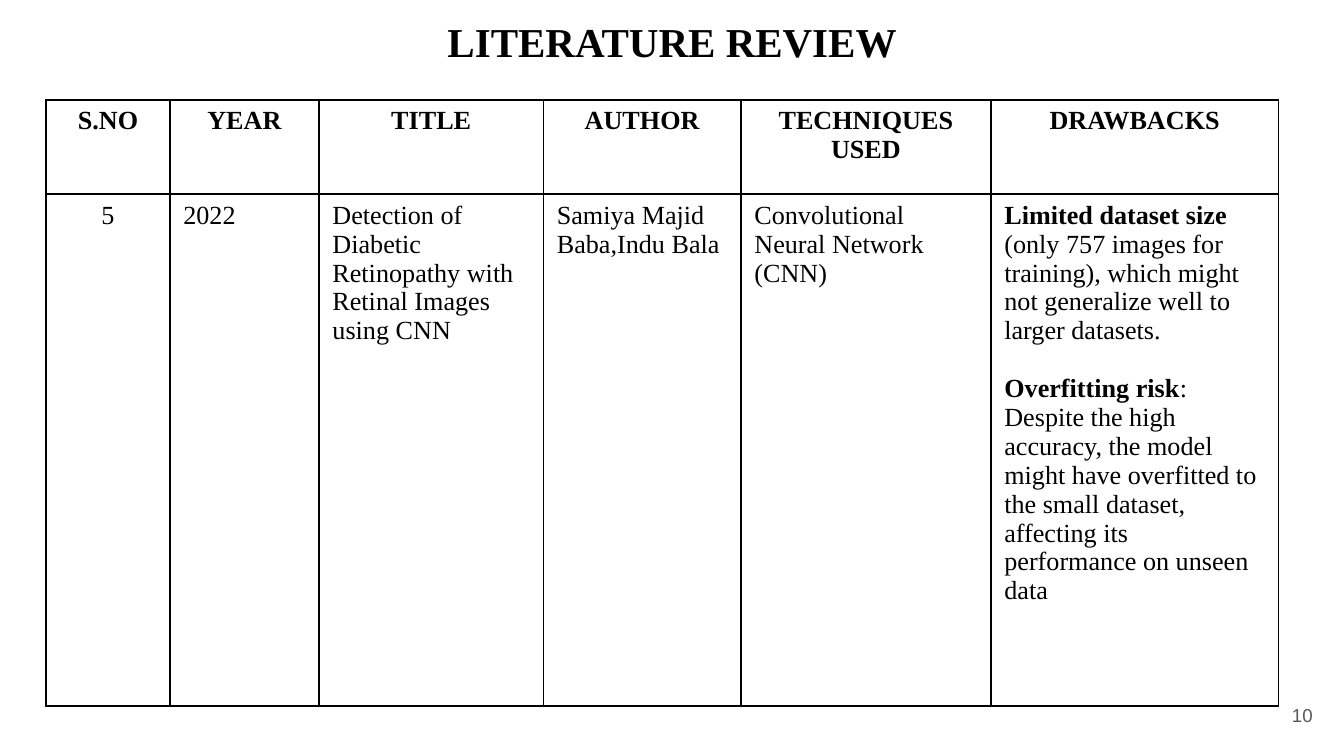
from dataclasses import dataclass

from lxml.etree import SubElement
from pptx import Presentation
from pptx.dml.color import RGBColor
from pptx.enum.text import MSO_ANCHOR, PP_ALIGN
from pptx.oxml.ns import qn
from pptx.util import Inches, Pt


@dataclass(frozen=True)
class Theme:
    ink: str = "000000"
    muted: str = "595959"
    paper: str = "FFFFFF"
    serif: str = "Times New Roman"
    sans: str = "Arial"
    title: float = 22
    body: float = 14
    small: float = 10
    border: float = 1
    gap: float = 15.5  # one line of body text


def write(tf, paragraphs, *, font, size, color, bold=False, align=PP_ALIGN.LEFT, gap=0):
    """Fill a text frame; each paragraph is a string or a list of (text, bold) runs."""
    for i, runs in enumerate(paragraphs):
        p = tf.add_paragraph() if i else tf.paragraphs[0]
        p.alignment = align
        if i:
            p.space_before = Pt(gap)
        for text, strong in [(runs, bold)] if isinstance(runs, str) else runs:
            r = p.add_run()
            r.text = text
            r.font.name, r.font.size, r.font.bold = font, Pt(size), strong
            r.font.color.rgb = RGBColor.from_string(color)


class Deck:
    """Places elements on a grid of 100 columns by 100 rows."""

    def __init__(self, theme):
        self.theme = theme
        self.prs = Presentation()
        self.prs.slide_width = Inches(10)
        self.prs.slide_height = self.prs.slide_width * 9 // 16
        self.s = self.prs.slides.add_slide(self.prs.slide_layouts[6])
        self.s.background.fill.solid()
        self.s.background.fill.fore_color.rgb = RGBColor.from_string(theme.paper)

    def x(self, columns):
        return round(self.prs.slide_width * columns / 100)

    def y(self, rows):
        return round(self.prs.slide_height * rows / 100)

    def text(self, left, top, width, height, content, anchor, **style):
        sp = self.s.shapes.add_textbox(self.x(left), self.y(top), self.x(width), self.y(height))
        tf = sp.text_frame
        tf.word_wrap, tf.vertical_anchor = True, anchor
        tf.margin_left = tf.margin_right = tf.margin_top = tf.margin_bottom = Inches(0.1)
        write(tf, [content], **style)

    def table(self, left, top, widths, heights, rows):
        frame = self.s.shapes.add_table(
            len(heights), len(widths), self.x(left), self.y(top),
            self.x(sum(widths)), self.y(sum(heights)))
        table = frame.table
        for column, width in zip(table.columns, widths):
            column.width = self.x(width)
        for row, height in zip(table.rows, heights):
            row.height = self.y(height)
        for i, row in enumerate(rows):
            for j, content in enumerate(row):
                header = i == 0
                centred = header or j == 0
                self.cell(table.cell(i, j), content, bold=header,
                          align=PP_ALIGN.CENTER if centred else PP_ALIGN.LEFT)

    def cell(self, cell, content, **style):
        t = self.theme
        write(cell.text_frame, content, font=t.serif, size=t.body, color=t.ink,
              gap=t.gap, **style)
        # Borders come before the fill in the cell properties
        tc_pr = cell._tc.get_or_add_tcPr()
        for side in ("lnL", "lnR", "lnT", "lnB"):
            ln = SubElement(tc_pr, qn(f"a:{side}"), w=str(Pt(t.border)))
            fill = SubElement(ln, qn("a:solidFill"))
            SubElement(fill, qn("a:srgbClr"), val=t.ink)
        cell.fill.background()


def main():
    theme = Theme()
    deck = Deck(theme)

    # Title
    deck.text(3.4, 0, 93.2, 10.5, "LITERATURE REVIEW", MSO_ANCHOR.BOTTOM,
              font=theme.serif, size=theme.title, color=theme.ink, bold=True,
              align=PP_ALIGN.CENTER)

    # Review table: each cell is a list of paragraphs
    headers = ["S.NO", "YEAR", "TITLE", "AUTHOR", "TECHNIQUES USED", "DRAWBACKS"]
    drawbacks = [
        [("Limited dataset size", True),
         (" (only 757 images for training), which might not generalize well "
          "to larger datasets.", False)],
        [("Overfitting risk", True),
         (": Despite the high accuracy, the model might have overfitted to the "
          "small dataset, affecting its performance on unseen data", False)],
    ]
    study = [
        ["5"],
        ["2022"],
        ["Detection of Diabetic Retinopathy with Retinal Images using CNN"],
        ["Samiya Majid Baba,Indu Bala"],
        ["Convolutional Neural Network (CNN)"],
        drawbacks,
    ]
    deck.table(3.44, 13.2, [9.2, 11.1, 16.7, 14.7, 18.6, 21.4], [12.5, 67.7],
               [[[h] for h in headers], study])

    # Page number
    deck.text(92.65, 90.7, 6, 7.65, "10", MSO_ANCHOR.MIDDLE,
              font=theme.sans, size=theme.small, color=theme.muted,
              align=PP_ALIGN.RIGHT)

    deck.prs.save("out.pptx")


if __name__ == "__main__":
    main()
